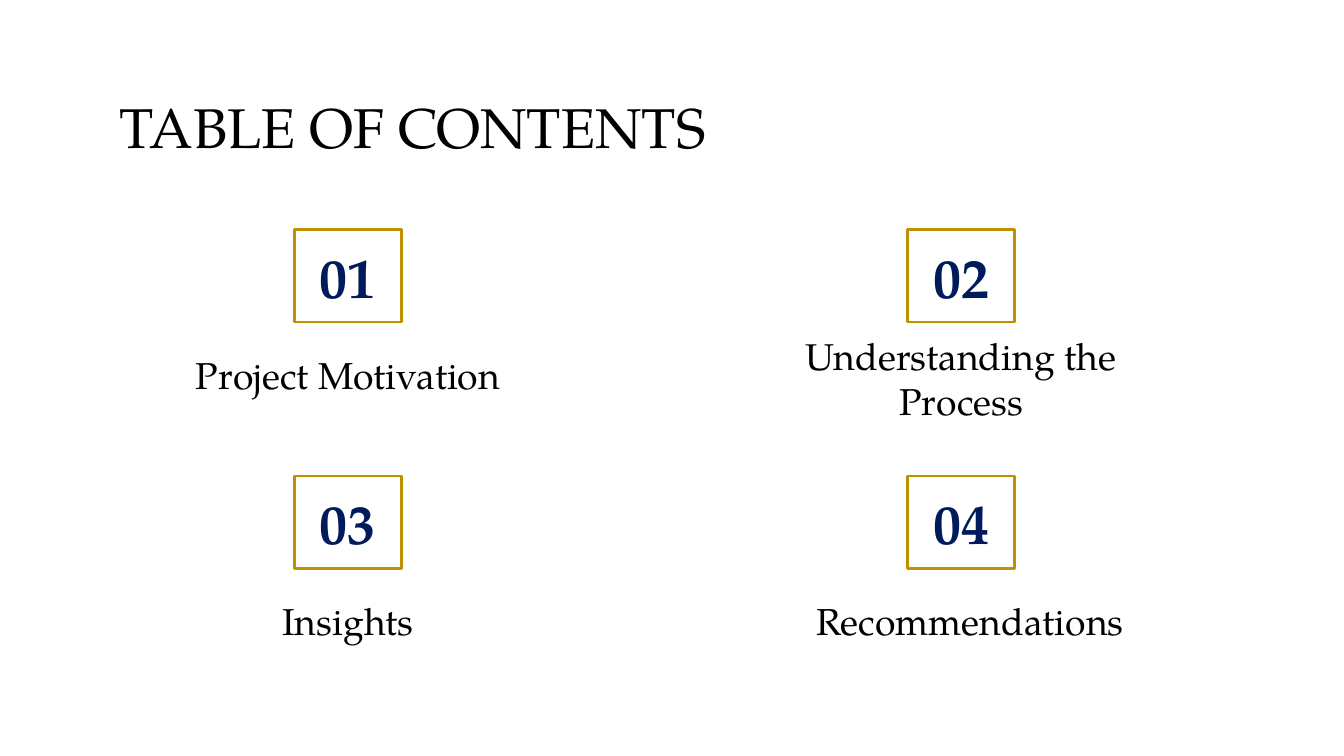
from dataclasses import dataclass

from pptx import Presentation
from pptx.dml.color import RGBColor
from pptx.enum.shapes import MSO_SHAPE
from pptx.enum.text import MSO_ANCHOR, MSO_AUTO_SIZE, PP_ALIGN
from pptx.util import Cm, Pt

RECT = MSO_SHAPE.RECTANGLE
TOP, MIDDLE, BOTTOM = MSO_ANCHOR.TOP, MSO_ANCHOR.MIDDLE, MSO_ANCHOR.BOTTOM
LEFT, CENTER = PP_ALIGN.LEFT, PP_ALIGN.CENTER
NO_AUTOFIT = MSO_AUTO_SIZE.NONE
TITLE_ONLY = 5


@dataclass(frozen=True)
class Theme:
    font: str = "TeX Gyre Pagella"
    background: RGBColor = RGBColor(0xFF, 0xFF, 0xFF)
    text: RGBColor = RGBColor(0x00, 0x00, 0x00)
    navy: RGBColor = RGBColor(0x00, 0x1B, 0x5C)
    gold: RGBColor = RGBColor(0xBF, 0x90, 0x00)
    heading_size: int = 30
    caption_size: int = 20
    border: float = 1.5
    inset: float = 0.25


def write(sp, text, *, font, size, color, inset, bold=False, align=CENTER, anchor=MIDDLE):
    tf = sp.text_frame
    tf.word_wrap = True
    tf.auto_size = NO_AUTOFIT
    tf.vertical_anchor = anchor
    tf.margin_left = tf.margin_right = tf.margin_top = tf.margin_bottom = Cm(inset)
    p = tf.paragraphs[0]
    p.alignment = align
    r = p.add_run()
    r.text = text
    r.font.name = font
    r.font.size = Pt(size)
    r.font.bold = bold
    r.font.color.rgb = color


class ContentsSlide:
    """Holds the theme and the slide being built; lengths are in centimetres."""

    def __init__(self, prs, theme):
        self.theme = theme
        self.s = prs.slides.add_slide(prs.slide_layouts[TITLE_ONLY])
        fill = self.s.background.fill
        fill.solid()
        fill.fore_color.rgb = theme.background

    def title(self, text, x, y, w, h):
        t, sp = self.theme, self.s.shapes.title
        sp.left, sp.top, sp.width, sp.height = Cm(x), Cm(y), Cm(w), Cm(h)
        write(sp, text, font=t.font, size=t.heading_size, color=t.text,
              inset=t.inset, align=LEFT, anchor=TOP)

    def number_box(self, text, x, y, w, h):
        t = self.theme
        sp = self.s.shapes.add_shape(RECT, Cm(x), Cm(y), Cm(w), Cm(h))
        sp.shadow.inherit = False
        sp.fill.background()
        sp.line.color.rgb = t.gold
        sp.line.width = Pt(t.border)
        write(sp, text, font=t.font, size=t.heading_size, color=t.navy,
              inset=t.inset, bold=True)

    def caption(self, text, x, y, w, h):
        t = self.theme
        sp = self.s.shapes.add_textbox(Cm(x), Cm(y), Cm(w), Cm(h))
        write(sp, text, font=t.font, size=t.caption_size, color=t.text,
              inset=t.inset, anchor=BOTTOM)


def main():
    prs = Presentation()
    prs.slide_width, prs.slide_height = Cm(25.4), Cm(14.29)
    slide = ContentsSlide(prs, Theme())
    slide.title("TABLE OF CONTENTS", 2, 1.5, 21.4, 1.6)

    # Caption, its width, its drop below the top of the box, its height
    sections = [
        ("Project Motivation", 6.4, 2.06, 1.35),
        ("Understanding the Process", 6.4, 2.31, 1.6),
        ("Insights", 6.4, 2.06, 1.35),
        ("Recommendations", 6.73, 2.06, 1.35),
    ]
    left, top, column_step, row_step = 5.56, 4.34, 11.59, 4.66
    caption_shift = 2.18
    for i, (text, w, drop, h) in enumerate(sections):
        row, column = divmod(i, 2)
        x, y = left + column * column_step, top + row * row_step
        slide.number_box(f"{i + 1:02}", x, y, 2.03, 1.75)
        slide.caption(text, x - caption_shift, y + drop, w, h)

    prs.save("out.pptx")


if __name__ == "__main__":
    main()
